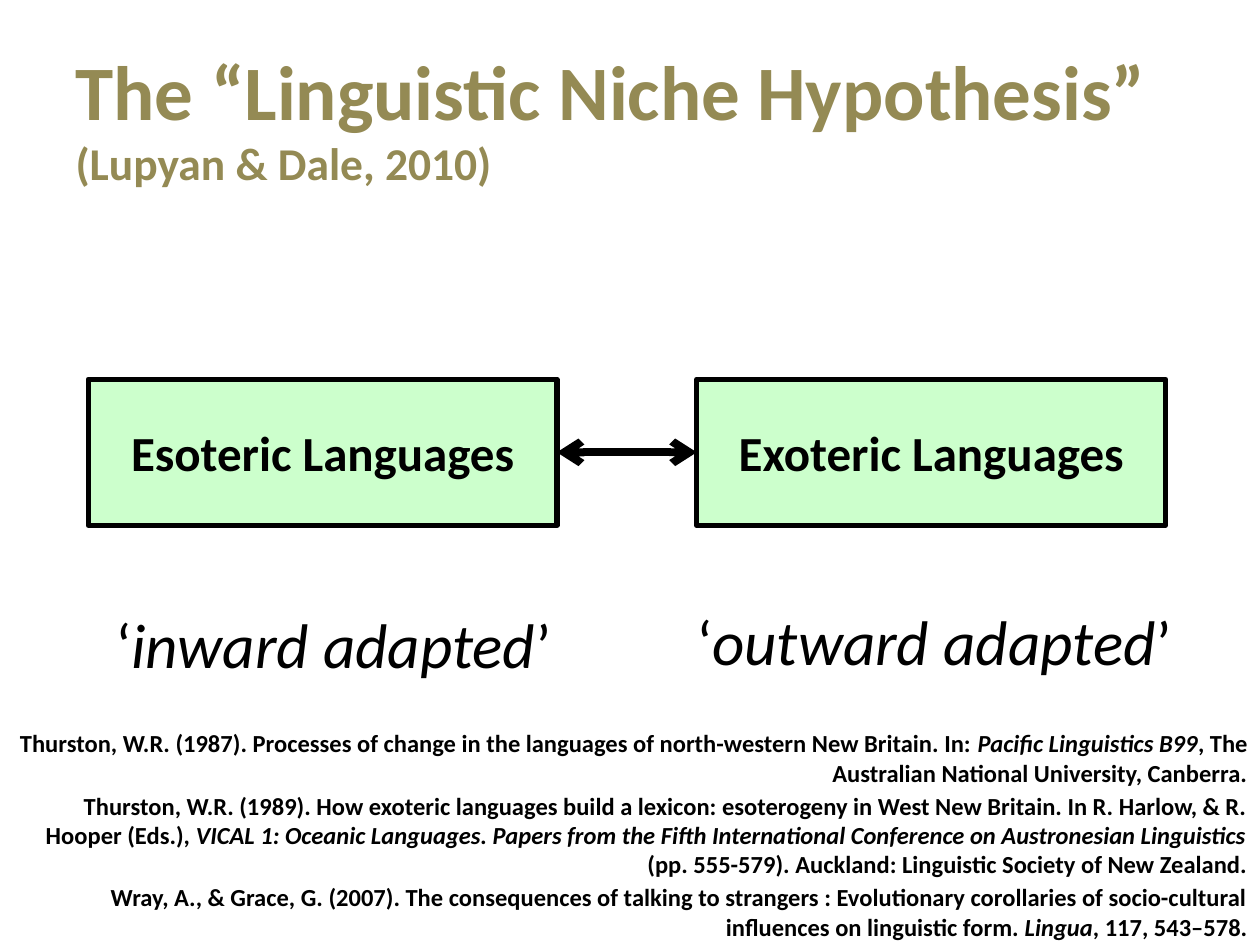
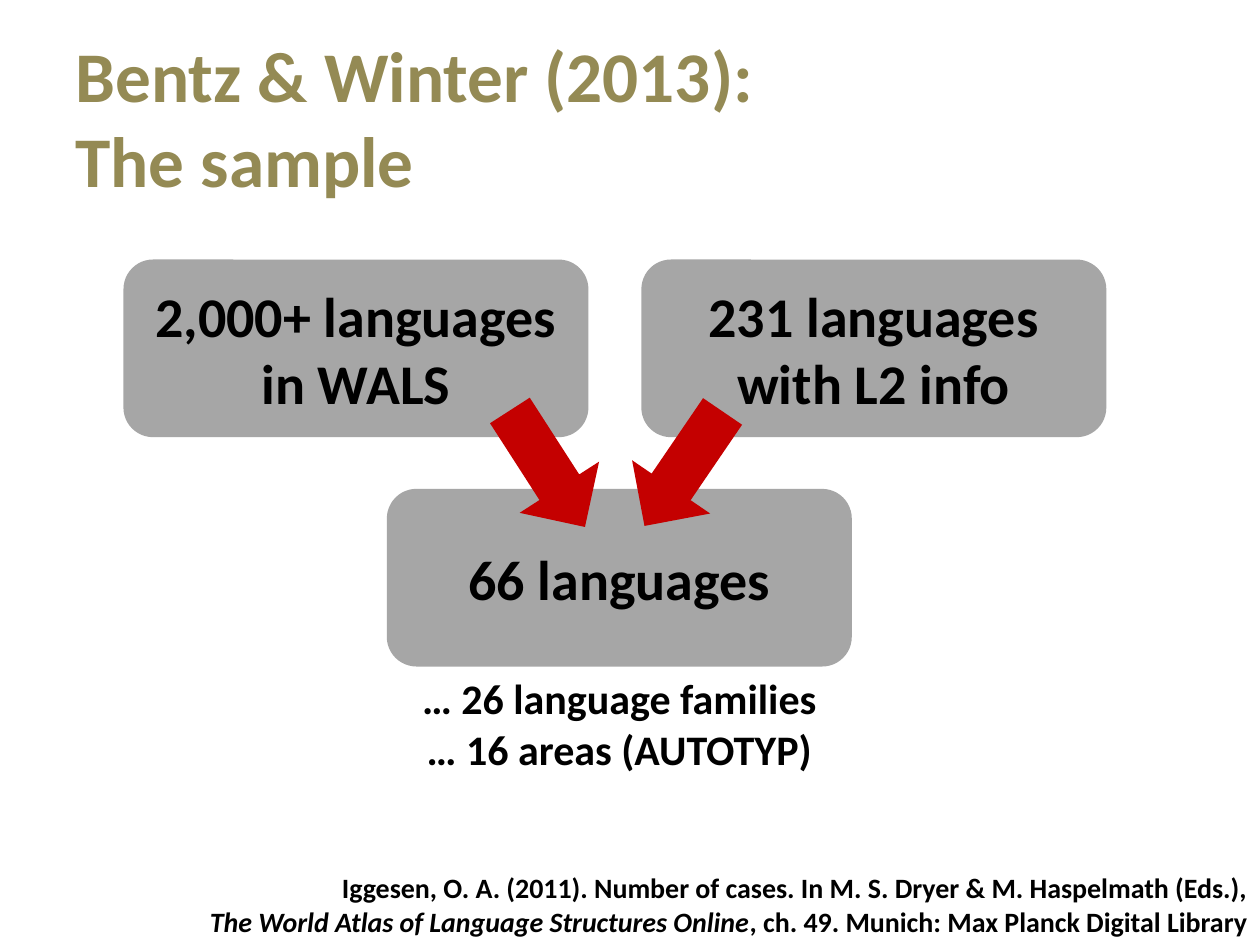
from dataclasses import dataclass

from lxml import etree
from pptx import Presentation
from pptx.dml.color import RGBColor
from pptx.enum import shapes as shp, text as txt
from pptx.oxml import ns
from pptx.util import Inches, Pt


@dataclass(frozen=True)
class Theme:
    font: str = "Calibri"
    gold: str = "948A54"
    ink: str = "000000"
    mint: str = "CCFFCC"
    gray: str = "A6A6A6"
    red: str = "C40000"
    head: float = 44
    sub: float = 26
    pair: float = 40.7
    box: float = 28
    quote: float = 36
    card: float = 32
    note: float = 24
    cite: float = 14
    source: float = 16


T = Theme()
SHAPE, ALIGN = shp.MSO_SHAPE, txt.PP_ALIGN

# Asterisks enclose italic words.
NICHE = {
    "title": [("The “Linguistic Niche Hypothesis”", T.head),
              ("(Lupyan & Dale, 2010)", T.sub)],
    "boxes": ["Esoteric Languages", "Exoteric Languages"],
    "quotes": [("‘*inward adapted*’", (0.82, 4.76, 3.69, 0.71)),
               ("‘*outward adapted*’", (5.43, 4.73, 4.02, 0.71))],
    "cites": [
        "Thurston, W.R. (1987). Processes of change in the languages of "
        "north-western New Britain. In: *Pacific Linguistics B99*, The "
        "Australian National University, Canberra.",
        "Thurston, W.R. (1989). How exoteric languages build a lexicon: "
        "esoterogeny in West New Britain. In R. Harlow, & R. Hooper (Eds.), "
        "*VICAL 1: Oceanic Languages. Papers from the Fifth International "
        "Conference on Austronesian Linguistics* (pp. 555-579). Auckland: "
        "Linguistic Society of New Zealand.",
        "Wray, A., & Grace, G. (2007). The consequences of talking to "
        "strangers : Evolutionary corollaries of socio-cultural influences "
        "on linguistic form. *Lingua*, 117, 543–578.",
    ],
}
SAMPLE = {
    "title": [("Bentz & Winter (2013):", T.pair), ("The sample", T.pair)],
    "cards": [("2,000+ languages in WALS", 0.98, 2.06),
              ("231 languages with L2 info", 5.09, 2.06),
              ("66 languages", 3.07, 3.88)],
    "arrows": [(5.05, 34.3), (3.97, 327.2)],
    "notes": ["… 26 language families", "… 16 areas (AUTOTYP)"],
    "cites": [
        "Iggesen, O. A. (2011). Number of cases. In M. S. Dryer & "
        "M. Haspelmath (Eds.),",
        "*The World Atlas of Language Structures Online*, ch. 49. Munich: "
        "Max Planck Digital Library",
    ],
}


def place(at):
    return [Inches(n) for n in at]


def style(font, size, color=T.ink, bold=True):
    font.name, font.size, font.bold = T.font, Pt(size), bold
    font.color.rgb = RGBColor.from_string(color)


def write(frame, lines, size, align, bold=True, gap=0):
    """Fill a frame with one paragraph per line, with *italic* marks."""
    for i, line in enumerate(lines):
        para = frame.add_paragraph() if i else frame.paragraphs[0]
        para.alignment = align
        if i and gap:
            para.space_before = Pt(gap)
        for j, part in enumerate(line.split("*")):
            if part:
                run = para.add_run()
                run.text = part
                style(run.font, size, bold=bold)
                run.font.italic = j % 2 == 1


def add_page(deck, lines):
    page = deck.slides.add_slide(deck.slide_layouts[5])
    title = page.shapes.title
    title.left, title.top, title.width, title.height = place((0.5, 0.3, 9, 1.25))
    frame = title.text_frame
    frame.text = "\v".join(line for line, _ in lines)
    frame.auto_size = txt.MSO_AUTO_SIZE.NONE
    frame.vertical_anchor = txt.MSO_ANCHOR.MIDDLE
    para = frame.paragraphs[0]
    para.alignment = ALIGN.LEFT
    for run, (_, size) in zip(para.runs, lines):
        style(run.font, size, T.gold)
    return page


def add_note(page, at, lines, size, align, wrap=True, **look):
    frame = page.shapes.add_textbox(*place(at)).text_frame
    frame.word_wrap = wrap
    write(frame, lines, size, align, **look)


def add_box(page, kind, at, fill, label="", size=T.box, line=0):
    box = page.shapes.add_shape(kind, *place(at))
    box.shadow.inherit = False
    box.fill.solid()
    box.fill.fore_color.rgb = RGBColor.from_string(fill)
    if line:
        box.line.color.rgb = RGBColor.from_string(T.ink)
        box.line.width = Pt(line)
    else:
        box.line.fill.background()
    if label:
        box.text_frame.word_wrap = True
        box.text_frame.vertical_anchor = txt.MSO_ANCHOR.MIDDLE
        write(box.text_frame, [label], size, ALIGN.CENTER)
    return box


def add_link(page, x1, x2, y):
    """Draw a level line with an arrowhead at both ends."""
    link = page.shapes.add_connector(
        shp.MSO_CONNECTOR.STRAIGHT, *place((x1, y, x2, y)))
    link.line.color.rgb = RGBColor.from_string(T.ink)
    link.line.width = Pt(4.5)
    props = link._element.spPr
    edge = props.find(ns.qn("a:ln"))
    for end in ("a:headEnd", "a:tailEnd"):
        etree.SubElement(edge, ns.qn(end), type="arrow")
    etree.SubElement(props, ns.qn("a:effectLst"))


def draw_niche(deck):
    page = add_page(deck, NICHE["title"])
    left, top, wide, high, step = 0.7, 3.01, 3.72, 1.16, 4.83
    for i, label in enumerate(NICHE["boxes"]):
        add_box(page, SHAPE.RECTANGLE, (left + i * step, top, wide, high),
                T.mint, label, T.box, line=3)
    add_link(page, left + wide, left + step, top + high / 2)
    add_note(page, (0.02, 5.73, 9.98, 1.82), NICHE["cites"], T.cite,
             ALIGN.RIGHT, gap=2)
    for quote, at in NICHE["quotes"]:
        add_note(page, at, [quote], T.quote, ALIGN.LEFT, wrap=False, bold=False)


def draw_sample(deck):
    page = add_page(deck, SAMPLE["title"])
    wide, high = 3.69, 1.41
    for label, x, y in SAMPLE["cards"]:
        add_box(page, SHAPE.ROUNDED_RECTANGLE, (x, y, wide, high),
                T.gray, label, T.card)
    for x, turn in SAMPLE["arrows"]:
        arrow = add_box(page, SHAPE.DOWN_ARROW, (x, 3.17, 0.75, 1.1), T.red)
        arrow.rotation = turn
    _, x, y = SAMPLE["cards"][-1]
    add_note(page, (x, y + high, wide, 0.91), SAMPLE["notes"], T.note,
             ALIGN.CENTER)
    add_note(page, (0, 6.86, 10, 0.64), SAMPLE["cites"], T.source, ALIGN.RIGHT)


def main():
    deck = Presentation()
    deck.slide_width, deck.slide_height = Inches(10), Inches(7.5)
    draw_niche(deck)
    draw_sample(deck)
    deck.save("out.pptx")


if __name__ == "__main__":
    main()
